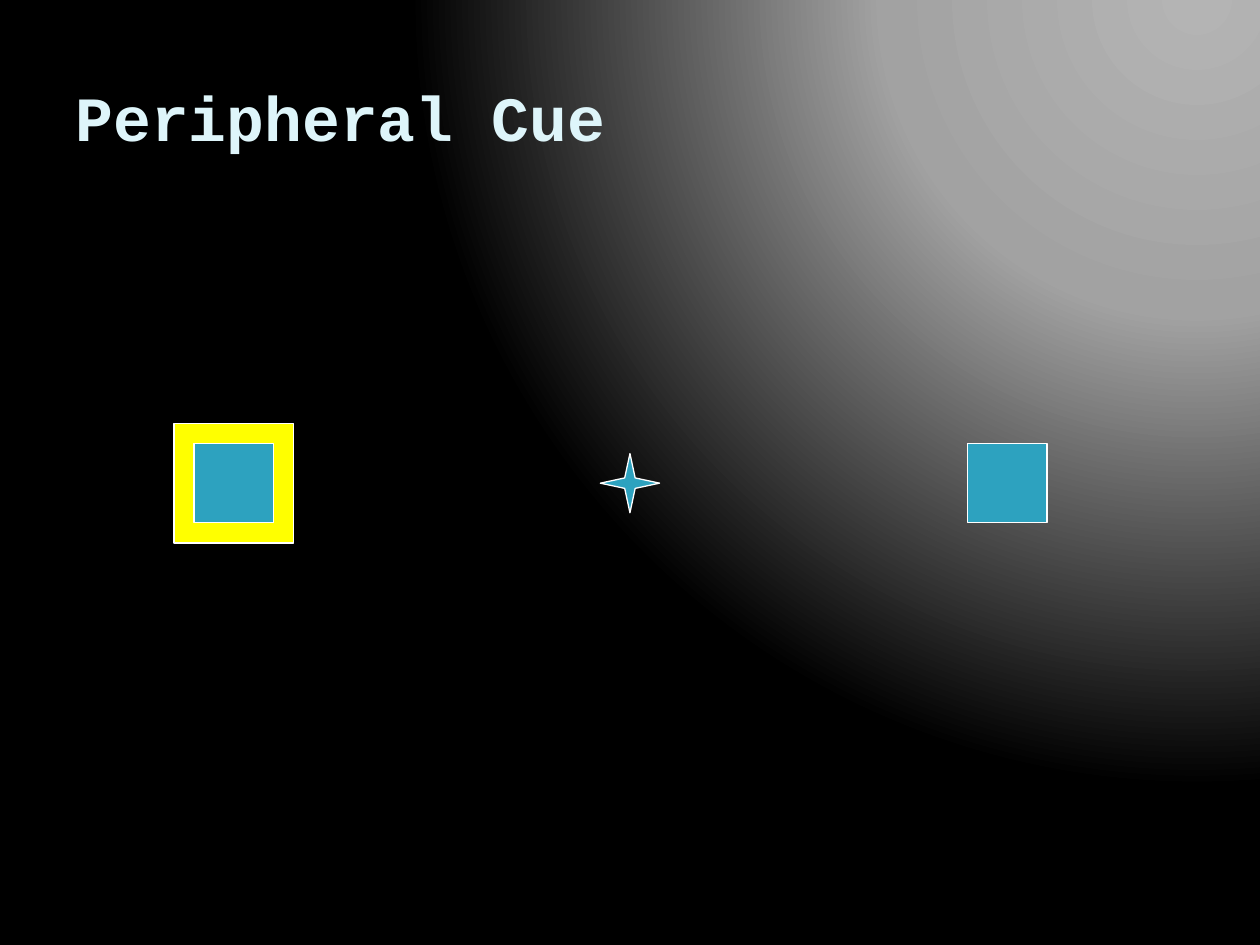
from dataclasses import dataclass

from pptx import Presentation
from pptx import util as u
from pptx.dml.color import RGBColor
from pptx.enum import shapes, text
from pptx.oxml import parse_xml
from pptx.oxml.ns import nsdecls


@dataclass(frozen=True)
class Theme:
    title_color: str = "DEF5FA"
    target: str = "2DA2BF"
    cue: str = "FFFF00"
    outline: str = "FFFFFF"
    outline_pt: float = 0.75
    title_font: str = "Courier New"
    title_pt: int = 36
    glow: tuple = ((0, "B4B4B4"), (40, "A2A2A2"), (100, "000000"))


THEME = Theme()
TITLE_BOX = (0.5, 0.3, 7.63, 1.25)
DISPLAY_BOX = (1.38, 3.36, 6.93, 0.95)
CUE_SIZE, TARGET_SIZE, FIXATION_SIZE = 0.95, 0.63, 0.47


def paint_background(slide):
    """Radial glow centred above the top right corner."""
    slide.background.fill.solid()
    solid = slide.element.xpath("p:cSld/p:bg/p:bgPr/a:solidFill")[0]
    stops = "".join(
        f'<a:gs pos="{percent * 1000}"><a:srgbClr val="{color}"/></a:gs>'
        for percent, color in THEME.glow
    )
    glow = parse_xml(
        f'<a:gradFill {nsdecls("a")} rotWithShape="1"><a:gsLst>{stops}</a:gsLst>'
        '<a:path path="circle"><a:fillToRect l="95000" t="-106000" r="5000" b="206000"/>'
        "</a:path></a:gradFill>"
    )
    solid.getparent().replace(solid, glow)


def place_title(slide, box, wording):
    title = slide.shapes.title
    for side, length in zip(("left", "top", "width", "height"), box):
        setattr(title, side, u.Inches(length))
    frame = title.text_frame
    frame.text = wording
    frame.auto_size = text.MSO_AUTO_SIZE.NONE
    frame.vertical_anchor = text.MSO_ANCHOR.MIDDLE
    line = frame.paragraphs[0]
    line.alignment = text.PP_ALIGN.LEFT
    font = line.runs[0].font
    formats = {"name": THEME.title_font, "size": u.Pt(THEME.title_pt), "bold": True}
    for name, value in formats.items():
        setattr(font, name, value)
    font.color.rgb = RGBColor.from_string(THEME.title_color)


def add_mark(slide, preset, center, size, color):
    """Outlined square mark around a centre point."""
    center_x, center_y = center
    mark = slide.shapes.add_shape(
        preset,
        u.Inches(center_x - size / 2),
        u.Inches(center_y - size / 2),
        u.Inches(size),
        u.Inches(size),
    )
    mark.shadow.inherit = False
    mark.fill.solid()
    mark.fill.fore_color.rgb = RGBColor.from_string(color)
    mark.line.color.rgb = RGBColor.from_string(THEME.outline)
    mark.line.width = u.Pt(THEME.outline_pt)
    return mark


def place_display(slide, box):
    """Cued left target, central fixation star and uncued right target."""
    left, top, width, height = box
    middle = top + height / 2
    cued = (left + CUE_SIZE / 2, middle)
    uncued = (left + width - TARGET_SIZE / 2, middle)
    fixation = (5, middle)
    square, star = shapes.MSO_SHAPE.RECTANGLE, shapes.MSO_SHAPE.STAR_4_POINT

    add_mark(slide, square, cued, CUE_SIZE, THEME.cue)
    fixation_star = add_mark(slide, star, fixation, FIXATION_SIZE, THEME.target)
    fixation_star.adjustments[0] = 0.125
    for center in (cued, uncued):
        add_mark(slide, square, center, TARGET_SIZE, THEME.target)


def main():
    deck = Presentation()
    deck.slide_width, deck.slide_height = u.Inches(10), u.Inches(7.5)
    slide = deck.slides.add_slide(deck.slide_layouts.get_by_name("Title Only"))
    paint_background(slide)
    place_display(slide, DISPLAY_BOX)
    place_title(slide, TITLE_BOX, "Peripheral Cue")
    deck.save("out.pptx")


if __name__ == "__main__":
    main()
